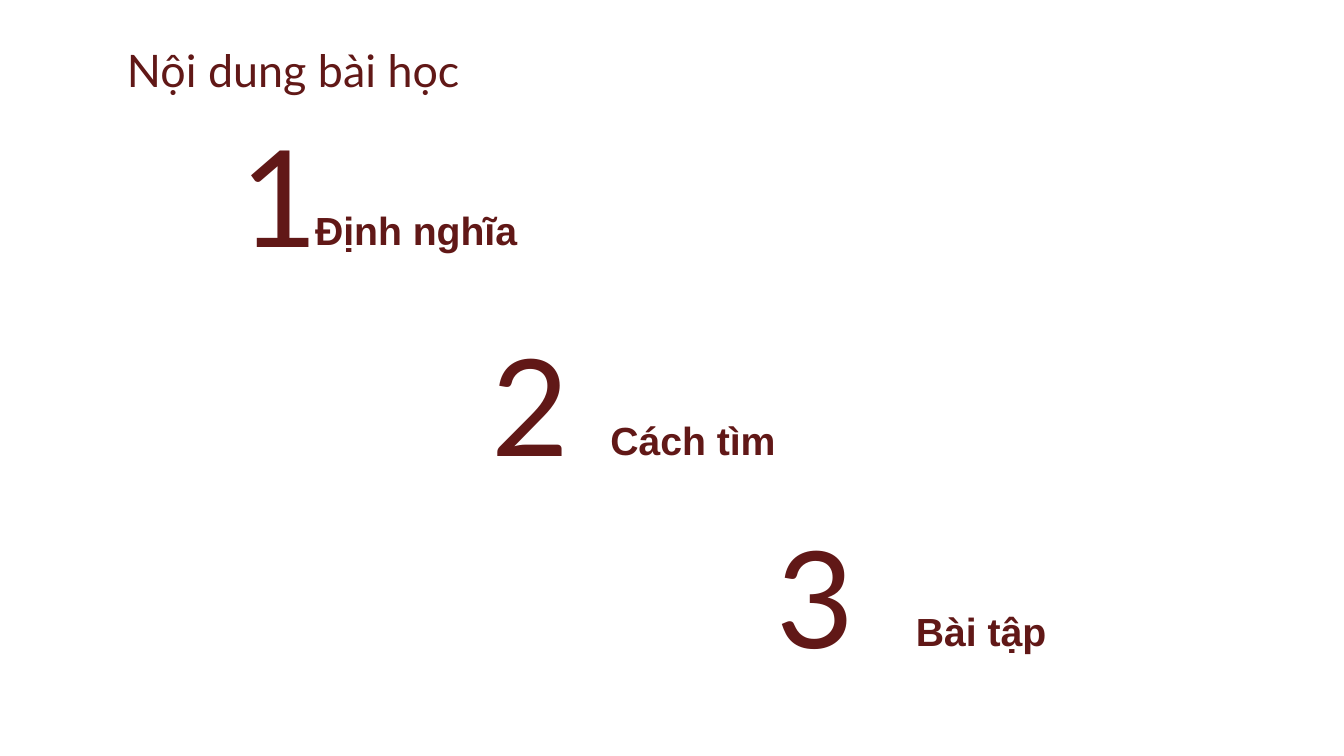
import pptx
import pptx.util
import pptx.dml.color
import pptx.enum.shapes
import pptx.enum.text
from dataclasses import dataclass

Cm = pptx.util.Cm
Shape = pptx.enum.shapes.MSO_SHAPE
Anchor = pptx.enum.text.MSO_ANCHOR
Align = pptx.enum.text.PP_ALIGN
AutoSize = pptx.enum.text.MSO_AUTO_SIZE
Color = pptx.dml.color.RGBColor


@dataclass(frozen=True)
class Theme:
    maroon: str = "611817"
    white: str = "FFFFFF"
    display_font: str = "Lato"
    label_font: str = "Arial"
    title_size: int = 32
    number_size: int = 96
    label_size: int = 28


theme = Theme()


def add_backing(page, kind, left, top, width, height):
    backing = page.shapes.add_shape(kind, Cm(left), Cm(top), Cm(width), Cm(height))
    backing.shadow.inherit = False
    backing.fill.solid()
    backing.fill.fore_color.rgb = Color.from_string(theme.white)
    backing.line.fill.background()


def write_text(box, text, font, size, is_label=False):
    frame = box.text_frame
    frame.word_wrap = is_label
    frame.auto_size = AutoSize.NONE if is_label else AutoSize.SHAPE_TO_FIT_TEXT
    frame.vertical_anchor = Anchor.MIDDLE if is_label else Anchor.TOP
    para = frame.paragraphs[0]
    para.alignment = Align.LEFT
    span = para.add_run()
    span.text = text
    span.font.name = font
    span.font.size = pptx.util.Pt(size)
    span.font.bold = is_label
    span.font.color.rgb = Color.from_string(theme.maroon)


deck = pptx.Presentation()
deck.slide_width = Cm(33.87)
deck.slide_height = Cm(19.05)
page = deck.slides.add_slide(deck.slide_layouts[6])

add_backing(page, Shape.RECTANGLE, 3.07, 1.22, 13.23, 1.12)
title = page.shapes.add_textbox(Cm(2.95), Cm(0.95), Cm(11.02), Cm(1.63))
write_text(title, "Nội dung bài học", theme.display_font, theme.title_size)

circle_size = 1.88
label_width, label_height = 9.25, 1.78
lessons = [
    ("Định nghĩa", (5.82, 2.72), 1.78, (7.69, 4.9), None),
    ("Cách tìm", (12.14, 8), 2.49, (15.13, 10.2), (12.98, 8.61)),
    ("Bài tập", (19.33, 12.84), 2.59, (22.83, 15.01), (20.24, 13.34)),
]
for number, (label, number_at, number_width, label_at, circle_at) in enumerate(lessons, 1):
    if circle_at:
        add_backing(page, Shape.OVAL, *circle_at, circle_size, circle_size)

    left, top = number_at
    box = page.shapes.add_textbox(Cm(left), Cm(top), Cm(number_width), Cm(4.37))
    write_text(box, str(number), theme.display_font, theme.number_size)

    left, top = label_at
    right, bottom = left + label_width, top + label_height
    outline = page.shapes.build_freeform(Cm(left), Cm(top))
    outline.add_line_segments(
        [(Cm(right), Cm(top)), (Cm(right), Cm(bottom)), (Cm(left), Cm(bottom))]
    )
    panel = outline.convert_to_shape()
    panel.shadow.inherit = False
    panel.fill.background()
    panel.line.fill.background()
    write_text(panel, label, theme.label_font, theme.label_size, is_label=True)

deck.save("out.pptx")
